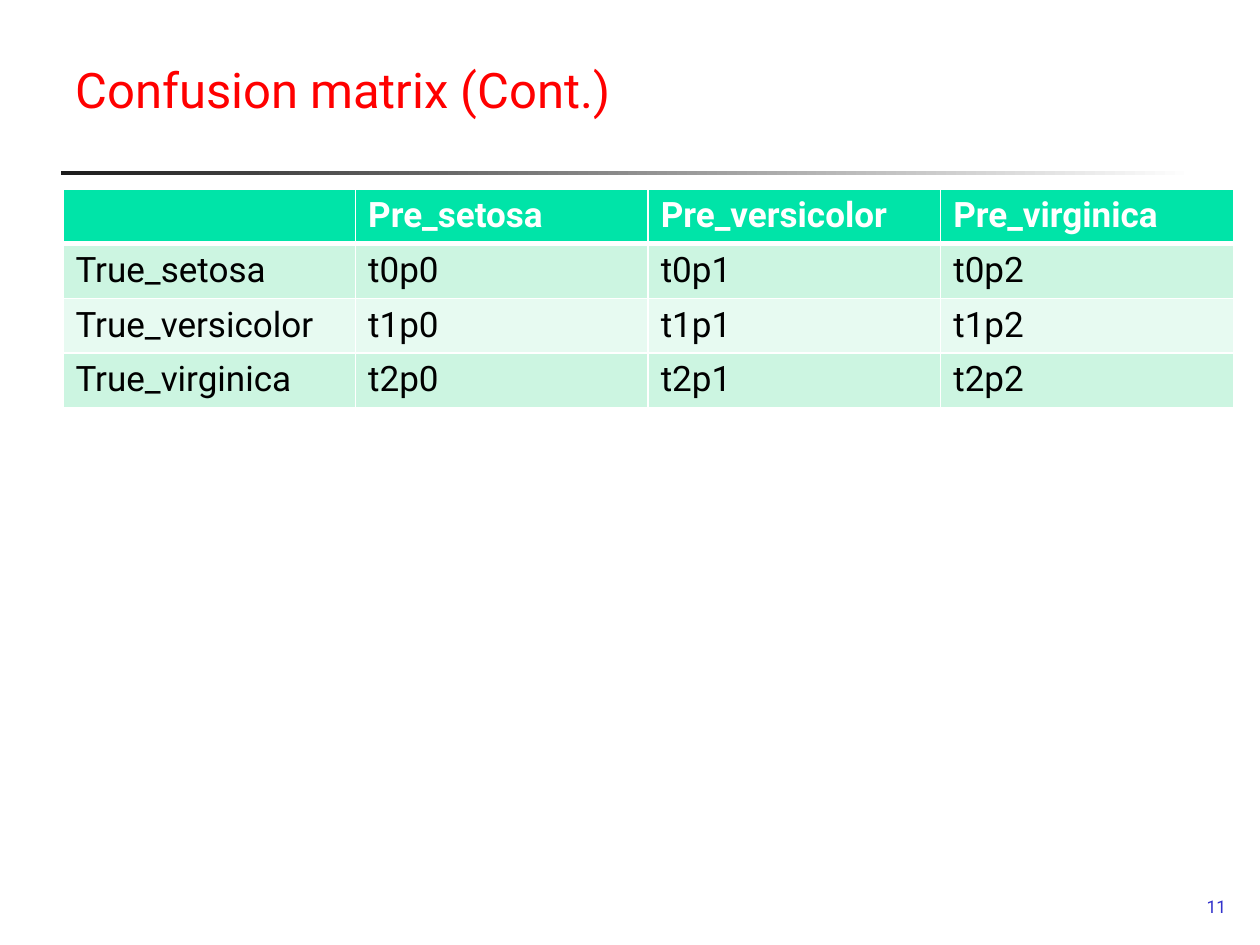
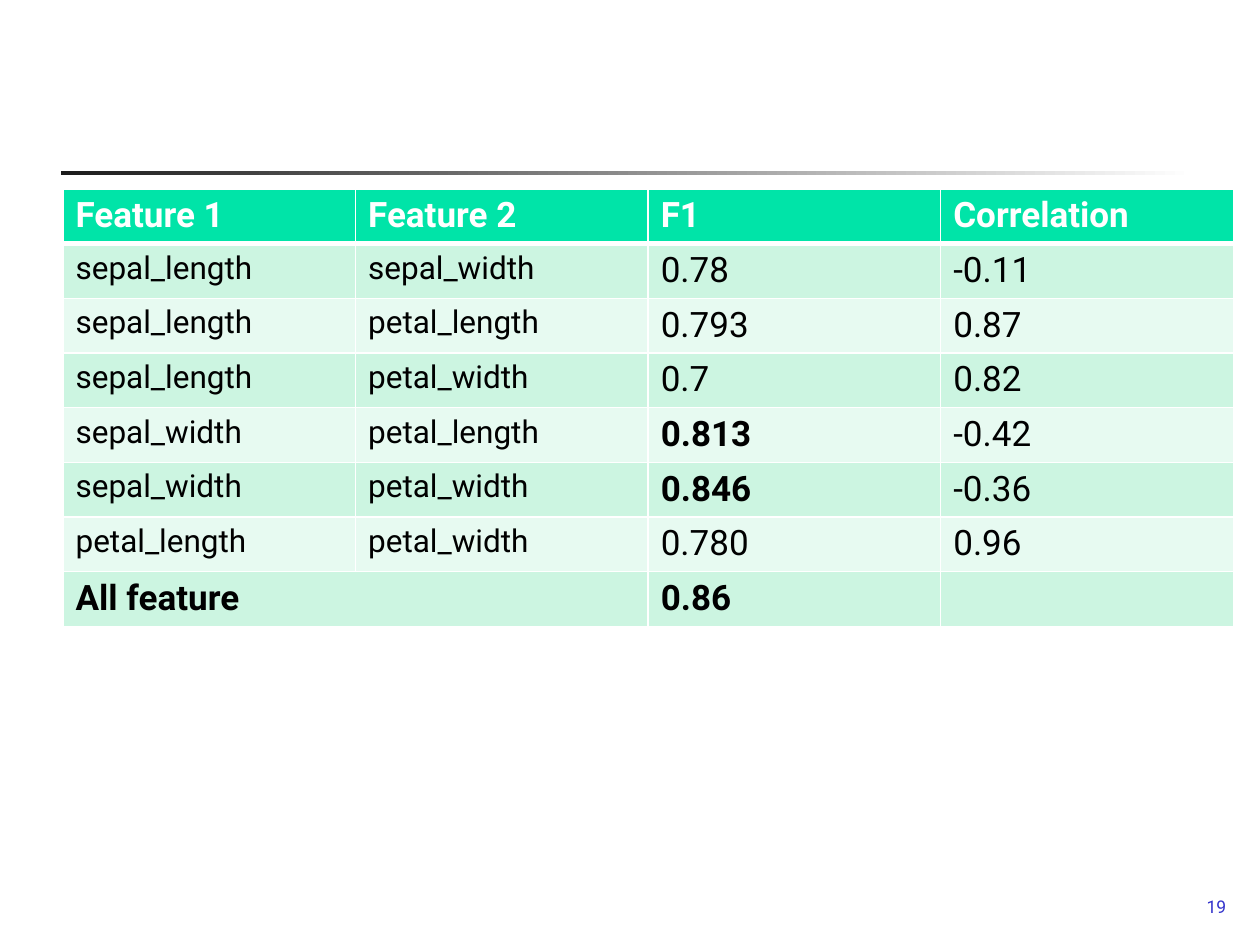
from lxml import etree
from pptx import Presentation
from pptx import util as u
from pptx.dml import color
from pptx.enum import shapes, text
from pptx.oxml import ns

COLOURS = {
    "title": "FF0000", "number": "3333CC", "rule": "1C1C1C", "white": "FFFFFF",
    "header": "00E4A8", "odd": "CCF5E1", "even": "E7FAF1", "body": "000000",
}
FONT = "Roboto"
TABLE_LEFT, TABLE_TOP, TABLE_WIDTH, ROW_HEIGHT = 36, 108, 668.8, 29.2


def add_run(paragraph, words, size, colour, bold=False):
    run = paragraph.add_run()
    run.text = words
    run.font.name = FONT
    run.font.size = u.Pt(size)
    run.font.bold = bold
    run.font.color.rgb = color.RGBColor.from_string(COLOURS[colour])


def set_borders(cell, top, bottom):
    properties = cell._tc.get_or_add_tcPr()
    widths = {"a:lnL": 1, "a:lnR": 1, "a:lnT": top, "a:lnB": bottom}
    for position, (side, width) in enumerate(widths.items()):
        line = etree.Element(ns.qn(side), w=str(u.Pt(width)))
        fill = etree.SubElement(line, ns.qn("a:solidFill"))
        etree.SubElement(fill, ns.qn("a:srgbClr"), val=COLOURS["white"])
        properties.insert(position, line)


# Slide contents: title, page number, table rows, size of the name columns
confusion_rows = [
    ["", "Pre_setosa", "Pre_versicolor", "Pre_virginica"],
    *[[f"True_{name}"] + [f"t{i}p{j}" for j in range(3)]
      for i, name in enumerate(["setosa", "versicolor", "virginica"])],
]
feature_rows = [
    ["Feature 1", "Feature 2", "F1", "Correlation"],
    ["sepal_length", "sepal_width", "0.78", "-0.11"],
    ["sepal_length", "petal_length", "0.793", "0.87"],
    ["sepal_length", "petal_width", "0.7", "0.82"],
    ["sepal_width", "petal_length", "0.813", "-0.42"],
    ["sepal_width", "petal_width", "0.846", "-0.36"],
    ["petal_length", "petal_width", "0.780", "0.96"],
    ["All feature", "", "0.86", ""],
]
pages = [
    ("Confusion matrix (Cont.)", "11", confusion_rows, 20),
    ("", "19", feature_rows, 18),
]
bold_words = {"0.813", "0.846", "All feature", "0.86"}

presentation = Presentation()
presentation.slide_width, presentation.slide_height = u.Pt(720), u.Pt(540)

for title, number, rows, name_size in pages:
    slide = presentation.slides.add_slide(presentation.slide_layouts[6])

    # Fading rule under the title
    rule = slide.shapes.add_shape(shapes.MSO_SHAPE.RECTANGLE,
                                  u.Pt(34.6), u.Pt(97.9), u.Pt(648), u.Pt(2.2))
    rule.shadow.inherit = False
    rule.line.fill.background()
    rule.fill.gradient()
    rule.fill.gradient_angle = 0
    for stop, name in zip(rule.fill.gradient_stops, ["rule", "white"]):
        stop.color.rgb = color.RGBColor.from_string(COLOURS[name])

    # Title
    if title:
        box = slide.shapes.add_textbox(u.Pt(36), u.Pt(5.8), u.Pt(668.2), u.Pt(90))
        box.text_frame.word_wrap = True
        box.text_frame.vertical_anchor = text.MSO_ANCHOR.MIDDLE
        add_run(box.text_frame.paragraphs[0], title, 28, "title")

    # Table
    table = slide.shapes.add_table(
        len(rows), len(rows[0]), u.Pt(TABLE_LEFT), u.Pt(TABLE_TOP),
        u.Pt(TABLE_WIDTH), u.Pt(ROW_HEIGHT * len(rows))).table
    for i, row in enumerate(rows):
        for j, words in enumerate(row):
            cell = table.cell(i, j)
            fill_name = "header" if i == 0 else "odd" if i % 2 else "even"
            cell.fill.solid()
            cell.fill.fore_color.rgb = color.RGBColor.from_string(COLOURS[fill_name])
            set_borders(cell, 3 if i == 1 else 1, 3 if i == 0 else 1)
            if words:
                bold = i == 0 or words in bold_words
                size = name_size if j < 2 and not bold else 20
                add_run(cell.text_frame.paragraphs[0], words, size,
                        "white" if i == 0 else "body", bold)
    if rows is feature_rows:
        last = len(rows) - 1
        table.cell(last, 0).merge(table.cell(last, 1))

    # Page number
    box = slide.shapes.add_textbox(u.Pt(522), u.Pt(491.8), u.Pt(185.8), u.Pt(36))
    box.text_frame.word_wrap = True
    box.text_frame.vertical_anchor = text.MSO_ANCHOR.BOTTOM
    paragraph = box.text_frame.paragraphs[0]
    paragraph.alignment = text.PP_ALIGN.RIGHT
    add_run(paragraph, number, 10, "number")

presentation.save("out.pptx")
